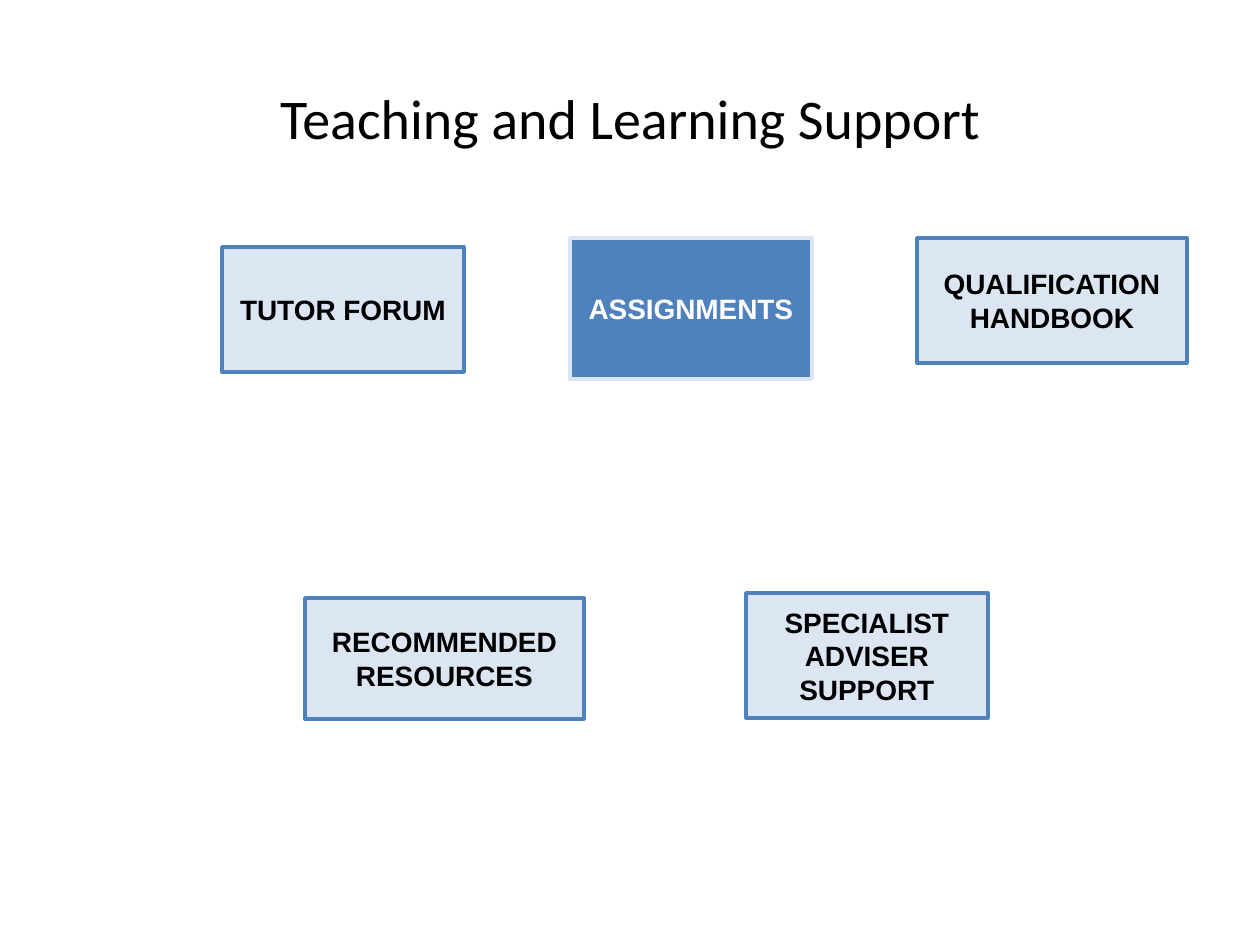
from pptx import Presentation
from pptx.dml.color import RGBColor
from pptx.enum import shapes, text
from pptx.util import Emu, Pt

PX = 914400 // 126
COLORS = {"blue": "4F81BD", "pale": "DCE6F2", "black": "000000", "white": "FFFFFF"}


def color(name):
    return RGBColor.from_string(COLORS[name])


def write(sp, content, font, size, ink, bold=False):
    tf = sp.text_frame
    tf.text = content
    tf.word_wrap = True
    tf.vertical_anchor = text.MSO_ANCHOR.MIDDLE
    p = tf.paragraphs[0]
    p.alignment = text.PP_ALIGN.CENTER
    r = p.runs[0]
    r.font.name = font
    r.font.size = Pt(size)
    r.font.bold = bold
    r.font.color.rgb = color(ink)


prs = Presentation()
prs.slide_width = Emu(1260 * PX)
prs.slide_height = Emu(945 * PX)
s = prs.slides.add_slide(prs.slide_layouts[6])

title = s.shapes.add_textbox(63 * PX, 38 * PX, 1135 * PX, 158 * PX)
write(title, "Teaching and Learning Support", "Calibri", 32, "black")

boxes = [
    ("TUTOR FORUM", 222, 247, 242, 125, "pale", "blue", "black"),
    ("ASSIGNMENTS", 570, 238, 242, 141, "blue", "pale", "white"),
    ("QUALIFICATION HANDBOOK", 917, 238, 270, 125, "pale", "blue", "black"),
    ("RECOMMENDED RESOURCES", 305, 598, 279, 121, "pale", "blue", "black"),
    ("SPECIALIST ADVISER SUPPORT", 746, 593, 242, 125, "pale", "blue", "black"),
]
for label, x, y, w, h, fill, line, ink in boxes:
    sp = s.shapes.add_shape(shapes.MSO_SHAPE.RECTANGLE, x * PX, y * PX, w * PX, h * PX)
    sp.shadow.inherit = False
    sp.fill.solid()
    sp.fill.fore_color.rgb = color(fill)
    sp.line.color.rgb = color(line)
    sp.line.width = Pt(2)
    write(sp, label, "Arial", 16, ink, bold=True)

prs.save("out.pptx")
